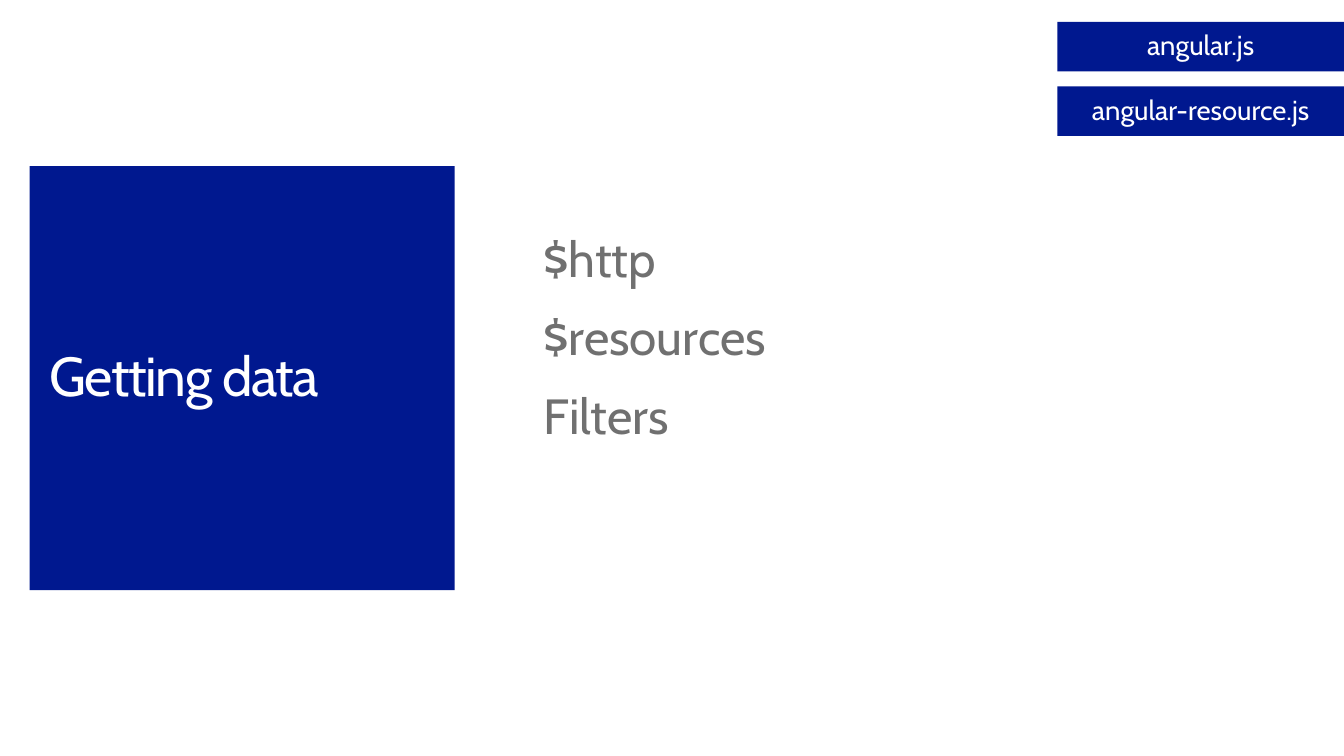
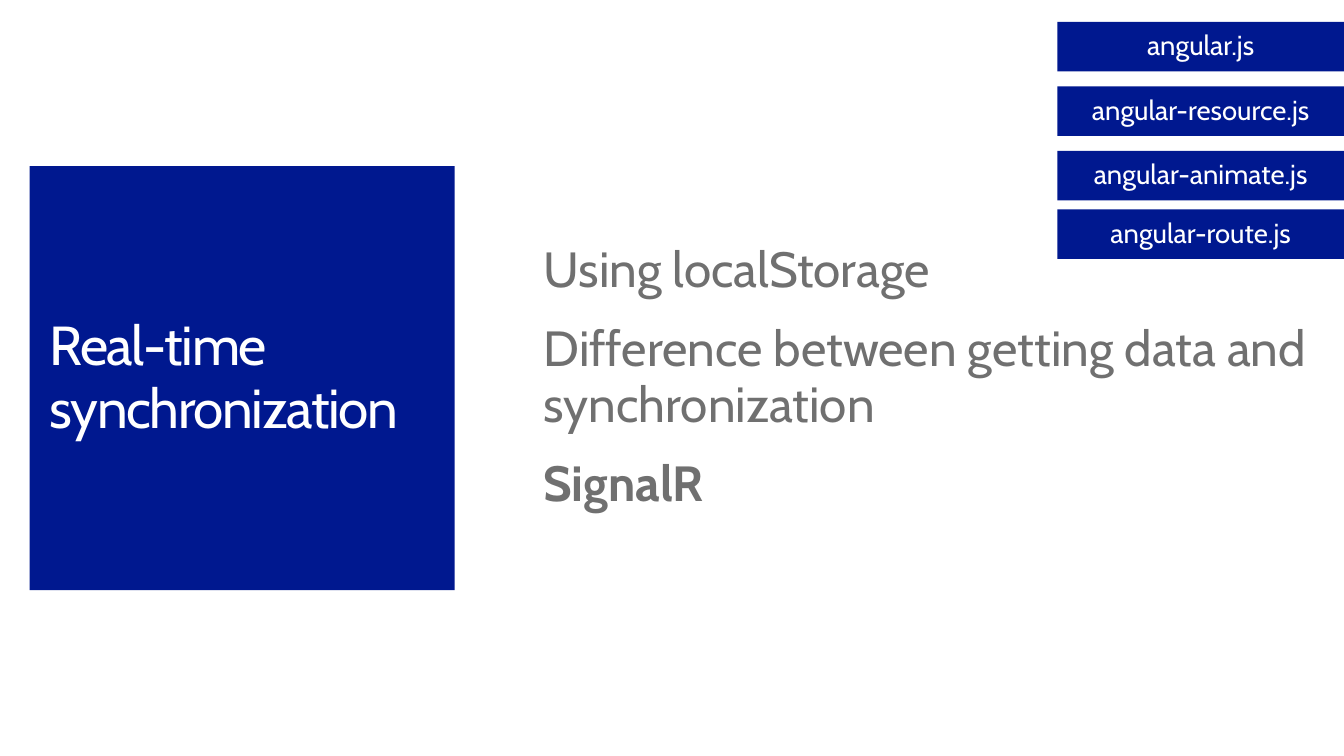
import pptx
import pptx.util
import pptx.dml.color
import pptx.enum.shapes
import pptx.enum.text
import pptx.oxml

Pt = pptx.util.Pt
ALIGN = pptx.enum.text.PP_ALIGN
FONT = "Cabin"
BLUE, GREY, WHITE = "00188F", "707070", "FFFFFF"
SLIDE = (979.2, 550.8)
TILE = (21.6, 121, 309.6, 309)
BODY_LEFT, BODY_HEIGHT = 381.6, 72
TAG_LEFT, TAG_WIDTH, TAG_HEIGHT = 770.4, 208.8, 36

TAGS = [
    ("angular.js", 16),
    ("angular-resource.js", 63),
    ("angular-animate.js", 110),
    ("angular-route.js", 152.6),
]
SLIDES = [
    {
        "title": "Getting data",
        "items": ["$http", "$resources", "Filters"],
        "bold": [],
        "body_top": 211,
        "body_width": 576,
        "tags": 2,
    },
    {
        "title": "Real-time synchronization",
        "items": [
            "Using localStorage",
            "Difference between getting data and synchronization",
            "SignalR",
        ],
        "bold": ["SignalR"],
        "body_top": 239,
        "body_width": 597.6,
        "tags": 4,
    },
]


def rgb(color):
    return pptx.dml.color.RGBColor.from_string(color)


def place(sp, left, top, width, height):
    sp.left, sp.top, sp.width, sp.height = map(Pt, (left, top, width, height))


def fill(sp):
    sp.fill.solid()
    sp.fill.fore_color.rgb = rgb(BLUE)
    sp.line.fill.background()


def write(sp, lines, size, color, align=ALIGN.LEFT, spacing=0.95, after=0):
    tf = sp.text_frame
    tf.text = "\n".join(lines)
    tf.word_wrap = True
    tf.auto_size = pptx.enum.text.MSO_AUTO_SIZE.NONE
    tf.vertical_anchor = pptx.enum.text.MSO_ANCHOR.MIDDLE
    tf.margin_left = tf.margin_right = Pt(14.4)
    tf.margin_top = tf.margin_bottom = Pt(11.5)
    for p in tf.paragraphs:
        p.alignment = align
        p.line_spacing = spacing
        p.space_before, p.space_after = Pt(0), Pt(after)
        for r in p.runs:
            r.font.name = FONT
            r.font.size = Pt(size)
            r.font.color.rgb = rgb(color)
    return tf.paragraphs


def add_title(s, text):
    sp = s.shapes.title
    place(sp, *TILE)
    fill(sp)
    for p in write(sp, [text], 40, WHITE):
        for r in p.runs:
            r.font._element.set("spc", "-100")


def add_body(s, items, bold, top, width):
    sp = s.placeholders[1]
    place(sp, BODY_LEFT, top, width, BODY_HEIGHT)
    for p in write(sp, items, 36, GREY, after=16.3):
        pPr = p._p.get_or_add_pPr()
        pPr.set("marL", "0")
        pPr.set("indent", "0")
        pPr.append(pptx.oxml.parse_xml(
            '<a:buNone xmlns:a="http://schemas.openxmlformats.org/drawingml/2006/main"/>'))
        for r in p.runs:
            r.font.bold = p.text in bold


def add_tag(s, text, top):
    sp = s.shapes.add_shape(
        pptx.enum.shapes.MSO_SHAPE.RECTANGLE,
        Pt(TAG_LEFT), Pt(top), Pt(TAG_WIDTH), Pt(TAG_HEIGHT))
    sp.shadow.inherit = False
    fill(sp)
    write(sp, [text], 20, WHITE, ALIGN.CENTER, 0.9)


def main():
    prs = pptx.Presentation()
    prs.slide_width, prs.slide_height = map(Pt, SLIDE)
    for content in SLIDES:
        s = prs.slides.add_slide(prs.slide_layouts[1])
        add_title(s, content["title"])
        add_body(s, content["items"], content["bold"],
                 content["body_top"], content["body_width"])
        for text, top in TAGS[:content["tags"]]:
            add_tag(s, text, top)
    prs.save("out.pptx")


if __name__ == "__main__":
    main()
